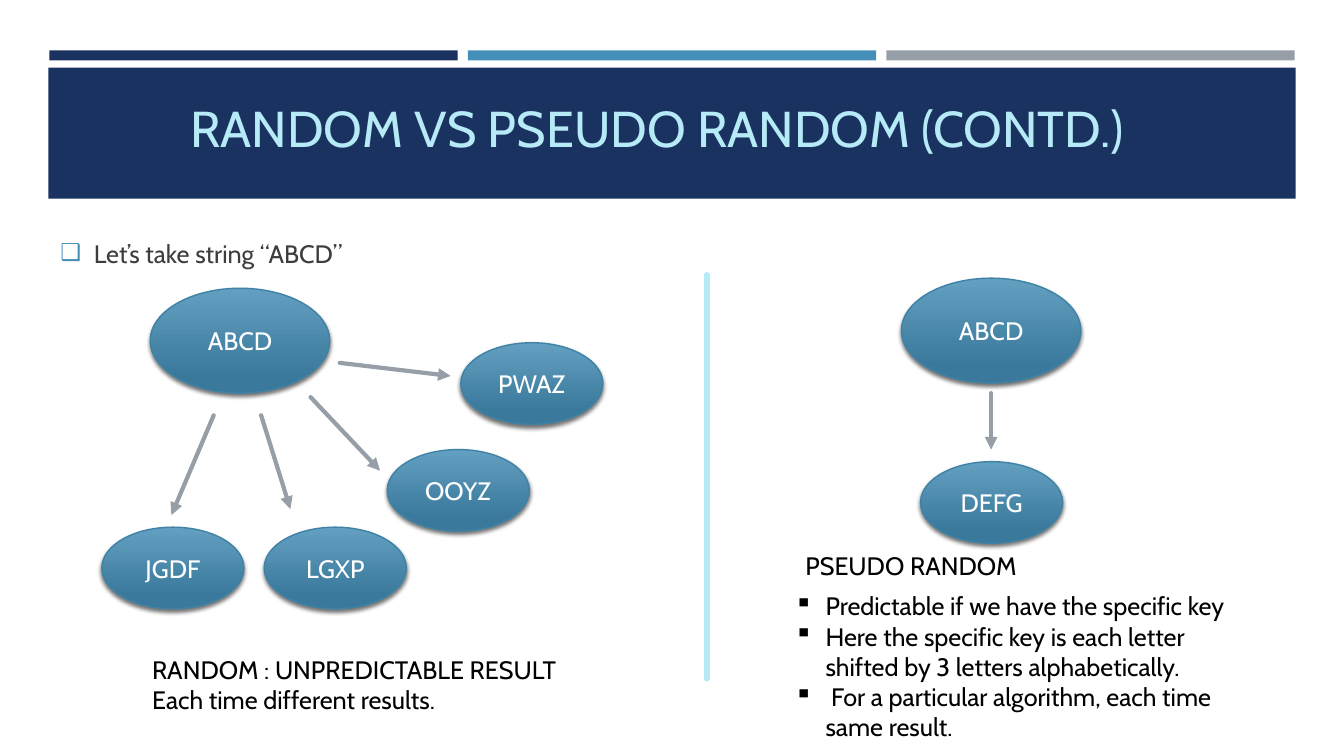
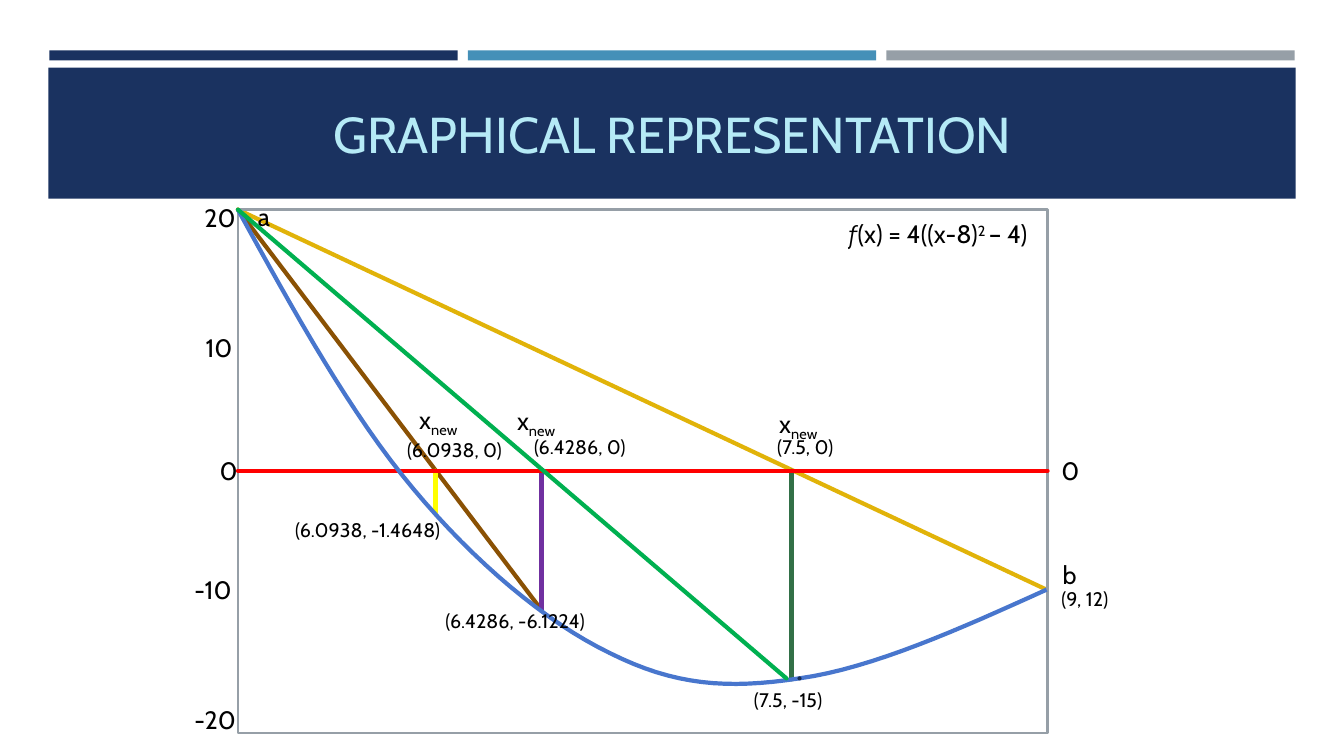
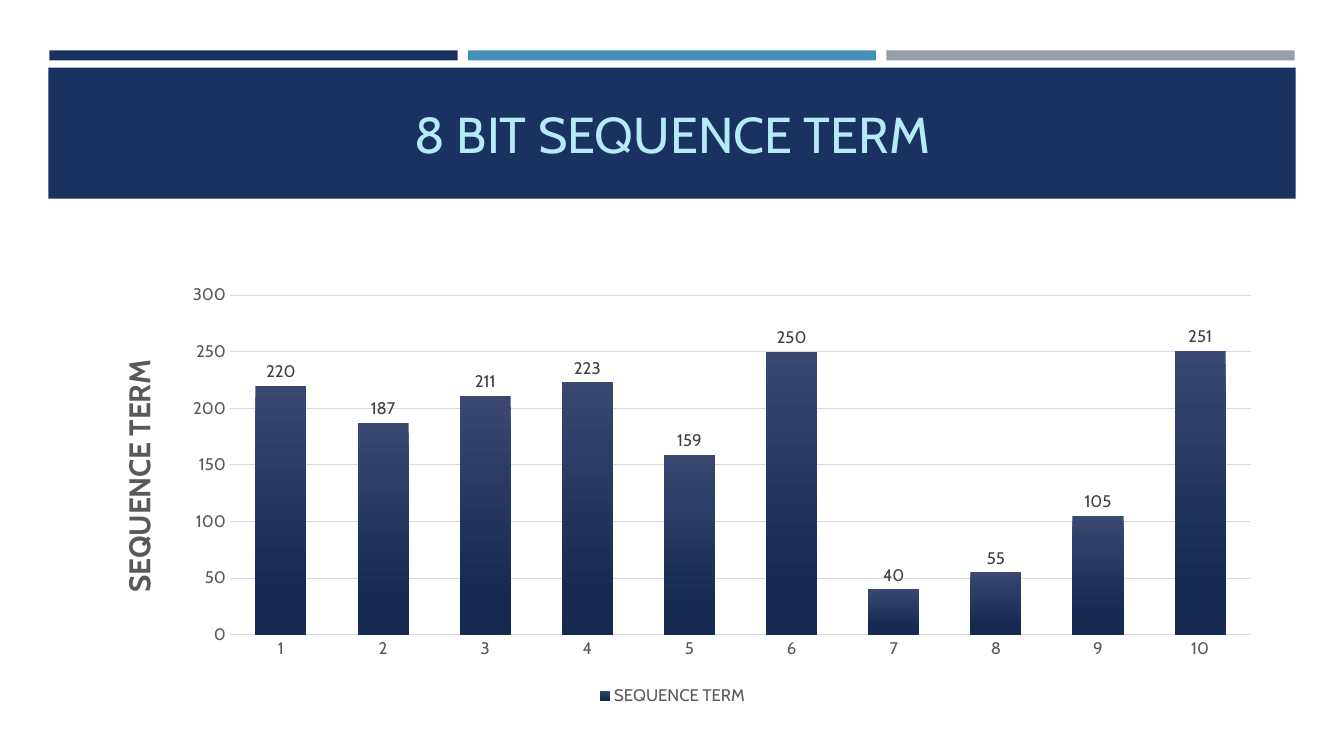
from dataclasses import dataclass

from lxml.etree import SubElement
from pptx import Presentation
from pptx.chart.data import CategoryChartData
from pptx.dml.color import RGBColor
from pptx.enum.chart import XL_CHART_TYPE as ChartType
from pptx.enum.chart import XL_LABEL_POSITION as LabelPosition
from pptx.enum.chart import XL_LEGEND_POSITION as LegendPosition
from pptx.enum.chart import XL_TICK_MARK as TickMark
from pptx.enum.shapes import MSO_CONNECTOR as Connector
from pptx.enum.shapes import MSO_SHAPE as Shape
from pptx.enum.text import MSO_ANCHOR as Anchor
from pptx.enum.text import MSO_AUTO_SIZE as AutoSize
from pptx.enum.text import PP_ALIGN as Align
from pptx.oxml.ns import qn
from pptx.util import Inches, Pt

FONT = "Cabin"
NAVY, BLUE, GRAY, ICE = "1A3260", "4590B8", "969FA7", "B5EAF6"
BLACK, WHITE, TEXT_GRAY, GRID = "000000", "FFFFFF", "595959", "D9D9D9"
TITLE_AREA = (0.64, 0.77, 12.06, 1.11)


@dataclass(frozen=True)
class Span:
    text: str
    baseline: int = 0


@dataclass(frozen=True)
class Bullet:
    char: str
    indent: float
    color: str = BLACK
    size: int = 100


@dataclass(frozen=True)
class Oval:
    text: str
    left: float
    top: float
    width: float = 1.41
    height: float = 0.81


@dataclass(frozen=True)
class Line:
    start: tuple[float, float]
    end: tuple[float, float]
    color: str = GRAY
    width: float = 3
    arrow: bool = False


@dataclass(frozen=True)
class Label:
    text: str | tuple[Span, ...]
    left: float
    top: float
    width: float
    size: int = 18


def rgb(color: str) -> RGBColor:
    return RGBColor.from_string(color)


def inches(*lengths: float) -> list[int]:
    return [Inches(length) for length in lengths]


def set_font(font, size: float, color: str, bold: bool = False) -> None:
    font.name, font.size, font.bold = FONT, Pt(size), bold
    font.color.rgb = rgb(color)


def set_gradient(fill, *colors: str) -> None:
    fill.gradient()
    fill.gradient_angle = 270
    for stop, color, position in zip(fill.gradient_stops, colors, (0, 0.84)):
        stop.color.rgb = rgb(color)
        stop.position = position


def add_bullet(para, bullet: Bullet) -> None:
    props = para._p.get_or_add_pPr()
    props.set("marL", str(Inches(bullet.indent)))
    props.set("indent", str(-Inches(bullet.indent)))
    SubElement(SubElement(props, qn("a:buClr")), qn("a:srgbClr"), val=bullet.color)
    SubElement(props, qn("a:buSzPct"), val=str(bullet.size * 1000))
    SubElement(props, qn("a:buChar"), char=bullet.char)


def write(frame, *lines, size=18, color=BLACK, align=Align.LEFT,
          anchor=Anchor.TOP, bullet=None, before=0, after=0) -> None:
    frame.word_wrap = True
    frame.vertical_anchor = anchor
    frame.auto_size = AutoSize.NONE
    for index, line in enumerate(lines):
        para = frame.add_paragraph() if index else frame.paragraphs[0]
        para.alignment = align
        para.space_before, para.space_after = Pt(before), Pt(after)
        if bullet:
            add_bullet(para, bullet)
        for span in (Span(line),) if isinstance(line, str) else line:
            run = para.add_run()
            run.text = span.text
            set_font(run.font, size, color)
            if span.baseline:
                run.font._element.set("baseline", str(span.baseline * 1000))


def place(shape, area: tuple[float, ...]) -> None:
    shape.left, shape.top, shape.width, shape.height = inches(*area)


def add_text(page, area: tuple[float, ...], *lines, **style) -> None:
    box = page.shapes.add_textbox(*inches(*area))
    write(box.text_frame, *lines, **style)


def add_label(page, label: Label) -> None:
    height = 0.4 if label.size == 18 else 0.34
    add_text(page, (label.left, label.top, label.width, height), label.text, size=label.size)


def add_band(page, area: tuple[float, ...], color: str):
    band = page.shapes.add_shape(Shape.RECTANGLE, *inches(*area))
    band.shadow.inherit = False
    band.fill.solid()
    band.fill.fore_color.rgb = rgb(color)
    band.line.fill.background()
    return band


def add_master_bands(deck, page) -> None:
    tree = deck.slide_master.element.cSld.spTree
    bands = [add_band(page, (0.49 + 4.15 * index, 0.5, 4.05, 0.1), color)
             for index, color in enumerate((NAVY, BLUE, GRAY))]
    bands.append(add_band(page, (0.48, 0.67, 12.37, 1.3), NAVY))
    for index, band in enumerate(bands):
        tree.insert(2 + index, band.element)


def add_page(deck, layout: int, title: str, area=TITLE_AREA):
    page = deck.slides.add_slide(deck.slide_layouts[layout])
    place(page.shapes.title, area)
    write(page.shapes.title.text_frame, title, size=36, color=ICE,
          align=Align.CENTER, anchor=Anchor.MIDDLE)
    return page


def add_oval(page, oval: Oval) -> None:
    shape = page.shapes.add_shape(
        Shape.OVAL, *inches(oval.left, oval.top, oval.width, oval.height))
    shape.shadow.inherit = False
    set_gradient(shape.fill, "639FC1", "3A799B")
    shape.line.color.rgb = rgb("3E82A6")
    shape.line.width = Pt(1)
    effects = shape.element.spPr.find(qn("a:effectLst"))
    shadow = SubElement(effects, qn("a:outerShdw"), blurRad=str(Pt(3)),
                        dist=str(Pt(2)), dir="5400000", rotWithShape="0")
    tint = SubElement(shadow, qn("a:srgbClr"), val=BLACK)
    SubElement(tint, qn("a:alpha"), val="55000")
    write(shape.text_frame, oval.text, color=WHITE, align=Align.CENTER, anchor=Anchor.MIDDLE)


def add_line(page, line: Line) -> None:
    connector = page.shapes.add_connector(
        Connector.STRAIGHT, *inches(*line.start, *line.end))
    connector.line.color.rgb = rgb(line.color)
    connector.line.width = Pt(line.width)
    stroke = connector.line._get_or_add_ln()
    stroke.set("cap", "rnd")
    if line.arrow:
        SubElement(stroke, qn("a:tailEnd"), type="triangle")
    SubElement(connector._element.spPr, qn("a:effectLst"))


def add_outline(shape, color: str, width: float) -> None:
    shape.shadow.inherit = False
    shape.fill.background()
    shape.line.color.rgb = rgb(color)
    shape.line.width = Pt(width)


def curve_points(knots: list[tuple[float, float]], steps: int = 16):
    for first in range(0, len(knots) - 1, 3):
        corners = knots[first:first + 4]
        for step in range(1, steps + 1):
            t = step / steps
            weights = ((1 - t) ** 3, 3 * t * (1 - t) ** 2, 3 * t * t * (1 - t), t ** 3)
            yield tuple(Inches(sum(w * corner[axis] for w, corner in zip(weights, corners)))
                        for axis in (0, 1))


def add_curve(page, knots: list[tuple[float, float]], color: str) -> None:
    builder = page.shapes.build_freeform(*inches(*knots[0]))
    builder.add_line_segments(list(curve_points(knots)), close=False)
    add_outline(builder.convert_to_shape(), color, 3)


def set_layout(parent, index: int, **values) -> None:
    previous = parent.find(qn("c:layout"))
    if previous is not None:
        parent.remove(previous)
    layout = SubElement(parent, qn("c:layout"))
    parent.insert(index, layout)
    manual = SubElement(layout, qn("c:manualLayout"))
    for name, value in values.items():
        SubElement(manual, qn(f"c:{name}"), val=str(value))


def build_random_page(deck) -> None:
    page = add_page(deck, 1, "RANDOM VS PSEUDO RANDOM (CONTD.)", (0.71, 0.5, 11.62, 1.53))
    add_master_bands(deck, page)
    body = page.placeholders[1]
    place(body, (0.5, 2.13, 5.54, 0.76))
    write(body.text_frame, "Let’s take string “ABCD”", color="3D3D3D", anchor=Anchor.MIDDLE,
          bullet=Bullet("❑", 0.33, BLUE, 92), before=3.6, after=6)
    for oval in (
        Oval("ABCD", 1.49, 2.86, 1.78, 1.04),
        Oval("PWAZ", 4.57, 3.4),
        Oval("OOYZ", 3.84, 4.46),
        Oval("LGXP", 2.62, 5.23),
        Oval("JGDF", 1.01, 5.23),
        Oval("ABCD", 8.94, 2.76, 1.78, 1.04),
        Oval("DEFG", 9.13, 4.58),
    ):
        add_oval(page, oval)
    for start, end in (
        ((2.59, 4.12), (2.88, 5.05)),
        ((2.12, 4.12), (1.7, 5.11)),
        ((9.83, 3.9), (9.83, 4.46)),
        ((3.08, 3.94), (3.77, 4.67)),
        ((3.37, 3.6), (4.47, 3.73)),
    ):
        add_line(page, Line(start, end, arrow=True))
    add_line(page, Line((7.01, 2.73), (7.01, 6.73), ICE, 4.5))
    add_text(page, (1.41, 6.44, 4.58, 0.71),
             "RANDOM : UNPREDICTABLE RESULT", "Each time different results.")
    add_text(page, (7.89, 5.41, 2.47, 0.4), "PSEUDO RANDOM")
    add_text(page, (7.78, 5.81, 4.68, 1.62),
             "Predictable if we have the specific key",
             "Here the specific key is each letter shifted by 3 letters alphabetically.",
             " For a particular algorithm, each time same result.",
             bullet=Bullet("▪", 0.31))


def build_graph_page(deck) -> None:
    page = add_page(deck, 5, "GRAPHICAL REPRESENTATION")
    point_a, point_b, zero = (2.36, 2.08), (10.38, 5.85), 4.67
    for line in (
        Line((5.37, 6.05), point_a, "8A5104"),
        Line(point_b, point_a, "E1B309"),
        Line((7.85, zero), (7.85, 6.74), "327047"),
        Line((5.37, zero), (5.37, 6.06), "7030A0"),
        Line((4.32, zero), (4.32, 5.09), "FFFF00"),
    ):
        add_line(page, line)
    plot = page.shapes.add_shape(Shape.RECTANGLE, *inches(*point_a, 8.03, 5.19))
    add_outline(plot, GRAY, 1.75)
    add_line(page, Line((2.36, zero), (10.39, zero), "FF0000"))
    add_curve(page, [point_a, (2.92, 3.1), (3.48, 4.11), (4.1, 4.85), (4.71, 5.58),
                     (5.41, 6.17), (6.05, 6.48), (6.69, 6.8), (7.21, 6.84),
                     (7.93, 6.73), (8.65, 6.63), (9.52, 6.24), point_b], "4876CD")
    add_line(page, Line((7.93, 6.73), (7.93, 6.73), "172D56"))
    add_line(page, Line((7.8, 6.73), point_a, "00B050"))
    x_new = (Span("x"), Span("new", -25))
    for label in (
        Label("0", 2.08, 4.47, 0.43),
        Label("20", 1.93, 1.96, 0.53),
        Label("10", 1.94, 3.25, 0.52),
        Label("-10", 1.83, 5.65, 0.63),
        Label("-20", 1.83, 6.94, 0.63),
        Label("0", 10.43, 4.47, 0.86),
        Label("(9, 12)", 10.43, 5.77, 0.86, 14),
        Label("(7.5, 0)", 7.61, 4.27, 0.9, 14),
        Label("(7.5, -15)", 7.38, 6.78, 1.13, 14),
        Label("(6.4286, -6.1224)", 4.32, 5.99, 1.93, 14),
        Label("(6.4286, 0)", 5.2, 4.27, 1.36, 14),
        Label("(6.0938, 0)", 3.94, 4.3, 1.31, 14),
        Label("(6.0938, -1.4648)", 2.83, 5.09, 1.93, 14),
        Label((Span("ƒ(x) = 4((x-8)"), Span("2 ", 30), Span("– 4)")), 8.32, 2.12, 2.16),
        Label(x_new, 4.06, 3.96, 0.7),
        Label(x_new, 5.03, 3.97, 0.7),
        Label(x_new, 7.63, 4, 0.7),
        Label("a", 2.46, 1.95, 0.35),
        Label("b", 10.44, 5.5, 0.35),
    ):
        add_label(page, label)


def build_chart_page(deck) -> None:
    page = add_page(deck, 5, "8 BIT SEQUENCE TERM")
    data = CategoryChartData()
    data.categories = [str(number) for number in range(1, 11)]
    data.add_series("SEQUENCE TERM", (220, 187, 211, 223, 159, 250, 40, 55, 105, 251))
    chart = page.shapes.add_chart(
        ChartType.COLUMN_CLUSTERED, *inches(0.64, 2.22, 12.06, 4.82), data).chart
    set_font(chart.font, 10, BLACK)

    chart.has_title = True
    title = chart.chart_title
    title.text_frame.text = "SEQUENCE TERM"
    set_font(title.text_frame.paragraphs[0].runs[0].font, 21.3, TEXT_GRAY, bold=True)
    title.text_frame._txBody.bodyPr.set("rot", "-5400000")
    set_layout(title._element, 1, xMode="edge", yMode="edge", x=0.04, y=0.27)

    chart.has_legend = True
    chart.legend.position = LegendPosition.BOTTOM
    chart.legend.include_in_layout = False
    set_font(chart.legend.font, 12, TEXT_GRAY)

    for axis in (chart.category_axis, chart.value_axis):
        axis.major_tick_mark = axis.minor_tick_mark = TickMark.NONE
        set_font(axis.tick_labels.font, 12, TEXT_GRAY)
    chart.category_axis.format.line.color.rgb = rgb(GRID)
    chart.category_axis.format.line.width = Pt(1)
    values = chart.value_axis
    values.minimum_scale, values.maximum_scale, values.major_unit = 0, 300, 50
    values.format.line.fill.background()
    values.major_gridlines.format.line.color.rgb = rgb(GRID)
    values.major_gridlines.format.line.width = Pt(0.75)

    columns = chart.plots[0]
    columns.gap_width, columns.overlap = 100, -24
    columns.vary_by_categories = False
    terms = columns.series[0]
    set_gradient(terms.format.fill, "394771", "162A51")
    terms.data_labels.show_value = True
    terms.data_labels.position = LabelPosition.OUTSIDE_END
    set_font(terms.data_labels.font, 12, "404040")
    set_layout(chart._chartSpace.chart.plotArea, 0, layoutTarget="inner", xMode="edge",
               yMode="edge", x=0.136, y=0.147, w=0.84, h=0.699)


def main() -> None:
    deck = Presentation()
    deck.slide_width, deck.slide_height = inches(13.33, 7.5)
    build_random_page(deck)
    build_graph_page(deck)
    build_chart_page(deck)
    deck.save("out.pptx")


main()
